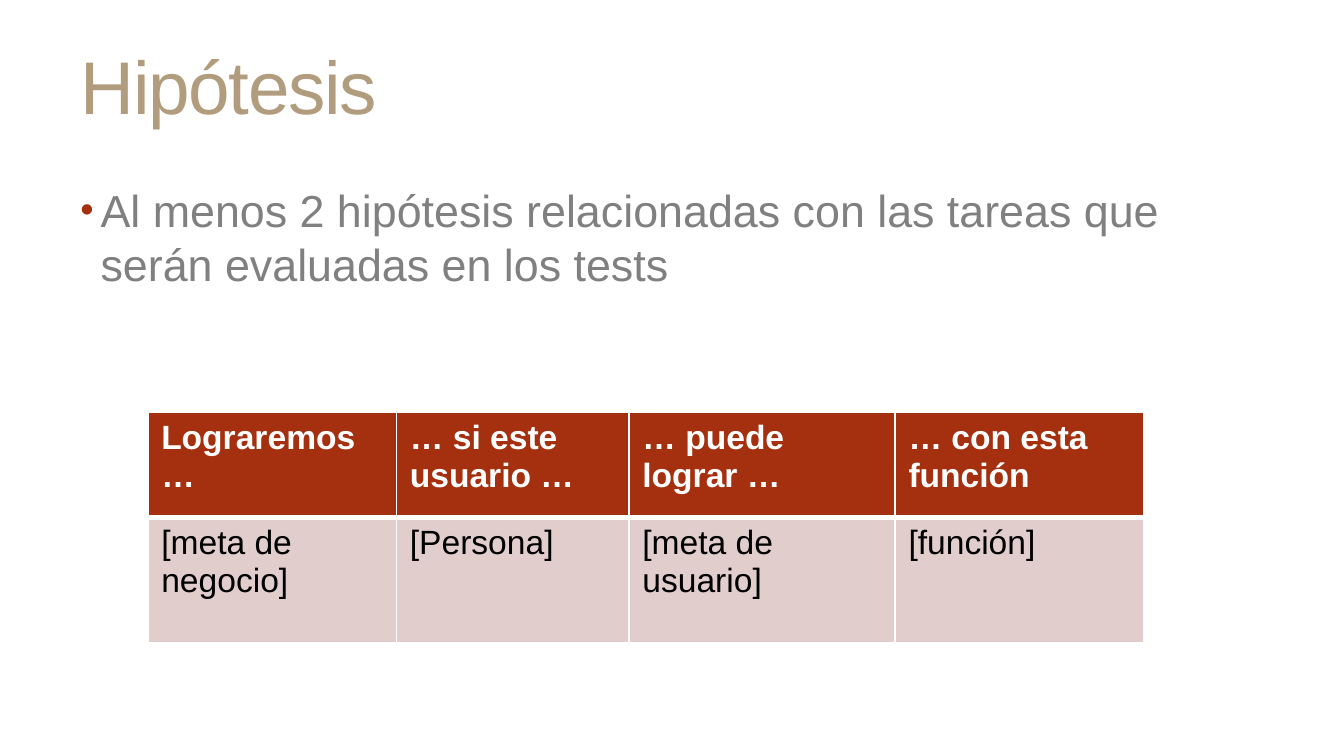
import pptx
import pptx.util
import pptx.dml.color
import pptx.enum.text
import pptx.oxml
import pptx.oxml.ns

Inches = pptx.util.Inches
Pt = pptx.util.Pt
WHITE, RED, PINK = "FFFFFF", "A5300F", "E1CDCC"
TAN, GRAY, BLACK = "B19C7D", "808080", "000000"


def color(text):
    """Turn a hex string into a colour."""
    return pptx.dml.color.RGBColor.from_string(text)


class Deck:
    """Holds the style and the current slide."""

    face = "Arial"

    def __init__(self, wide, high):
        """Start a deck with one title-only slide."""
        self.file = pptx.Presentation()
        self.file.slide_width = Inches(wide)
        self.file.slide_height = Inches(high)
        self.slide = self.file.slides.add_slide(self.file.slide_layouts[5])

    def style(self, para, size, tint, bold=False):
        """Set the font of a paragraph."""
        para.font.name = self.face
        para.font.size = Pt(size)
        para.font.bold = bold
        para.font.color.rgb = color(tint)

    def title(self, text, left, top, wide, high):
        """Place and format the title."""
        shape = self.slide.shapes.title
        shape.left, shape.top = Inches(left), Inches(top)
        shape.width, shape.height = Inches(wide), Inches(high)
        frame = shape.text_frame
        frame.text = text
        frame.vertical_anchor = pptx.enum.text.MSO_ANCHOR.MIDDLE
        para = frame.paragraphs[0]
        para.alignment = pptx.enum.text.PP_ALIGN.LEFT
        self.style(para, 40, TAN)
        para.runs[0].font._element.set("spc", "-70")

    def bullet(self, text, left, top, wide, high):
        """Add a text box with one bulleted paragraph."""
        box = self.slide.shapes.add_textbox(
            Inches(left), Inches(top), Inches(wide), Inches(high))
        frame = box.text_frame
        frame.word_wrap = True
        para = frame.paragraphs[0]
        para.text = text
        para.space_before = Pt(4.8)
        self.style(para, 24, GRAY)
        props = para._p.get_or_add_pPr()
        props.set("marL", str(Inches(0.15)))
        props.set("indent", str(-Inches(0.15)))
        marks = pptx.oxml.parse_xml(
            f'<a:pPr {pptx.oxml.ns.nsdecls("a")}>'
            f'<a:buClr><a:srgbClr val="{RED}"/></a:buClr>'
            '<a:buSzPct val="85000"/><a:buFont typeface="Arial"/>'
            '<a:buChar char="•"/></a:pPr>')
        spot = props.index(props.find(pptx.oxml.ns.qn("a:defRPr")))
        props[spot:spot] = list(marks)

    def border(self, cell, widths):
        """Draw white cell borders, widths given by side."""
        props = cell._tc.get_or_add_tcPr()
        for spot, (side, width) in enumerate(widths.items()):
            line = pptx.oxml.parse_xml(
                f'<a:ln{side} {pptx.oxml.ns.nsdecls("a")} w="{Pt(width)}">'
                f'<a:solidFill><a:srgbClr val="{WHITE}"/></a:solidFill>'
                f'</a:ln{side}>')
            props.insert(spot, line)

    def table(self, rows, left, top, wides, highs):
        """Add a table with a red head and pink body."""
        grid = self.slide.shapes.add_table(
            len(rows), len(wides), Inches(left), Inches(top),
            Inches(sum(wides)), Inches(sum(highs))).table
        for col, wide in zip(grid.columns, wides):
            col.width = Inches(wide)
        for row, high in zip(grid.rows, highs):
            row.height = Inches(high)
        thin, thick = 0.96, 3
        for r, row in enumerate(rows):
            head = r == 0
            for c, text in enumerate(row):
                cell = grid.cell(r, c)
                cell.text = text
                cell.fill.solid()
                cell.fill.fore_color.rgb = color(RED if head else PINK)
                tint = WHITE if head else BLACK
                self.style(cell.text_frame.paragraphs[0], 18, tint, head)
                self.border(cell, {
                    "L": thin, "R": thin,
                    "T": thin if head else thick,
                    "B": thick if head else thin})


def main():
    """Build the slide and save it."""
    deck = Deck(10, 10 * 9 / 16)
    deck.title("Hipótesis", 0.5, 0.23, 9, 0.8)
    deck.bullet("Al menos 2 hipótesis relacionadas con las tareas que "
                "serán evaluadas en los tests", 0.5, 1.31, 9, 4)
    deck.table([
        ["Lograremos …", "… si este usuario …",
         "… puede lograr …", "… con esta función"],
        ["[meta de negocio]", "[Persona]", "[meta de usuario]", "[función]"],
    ], 1.1, 3.07, [1.85, 1.73, 1.98, 1.85], [0.78, 0.93])
    deck.file.save("out.pptx")


if __name__ == "__main__":
    main()
